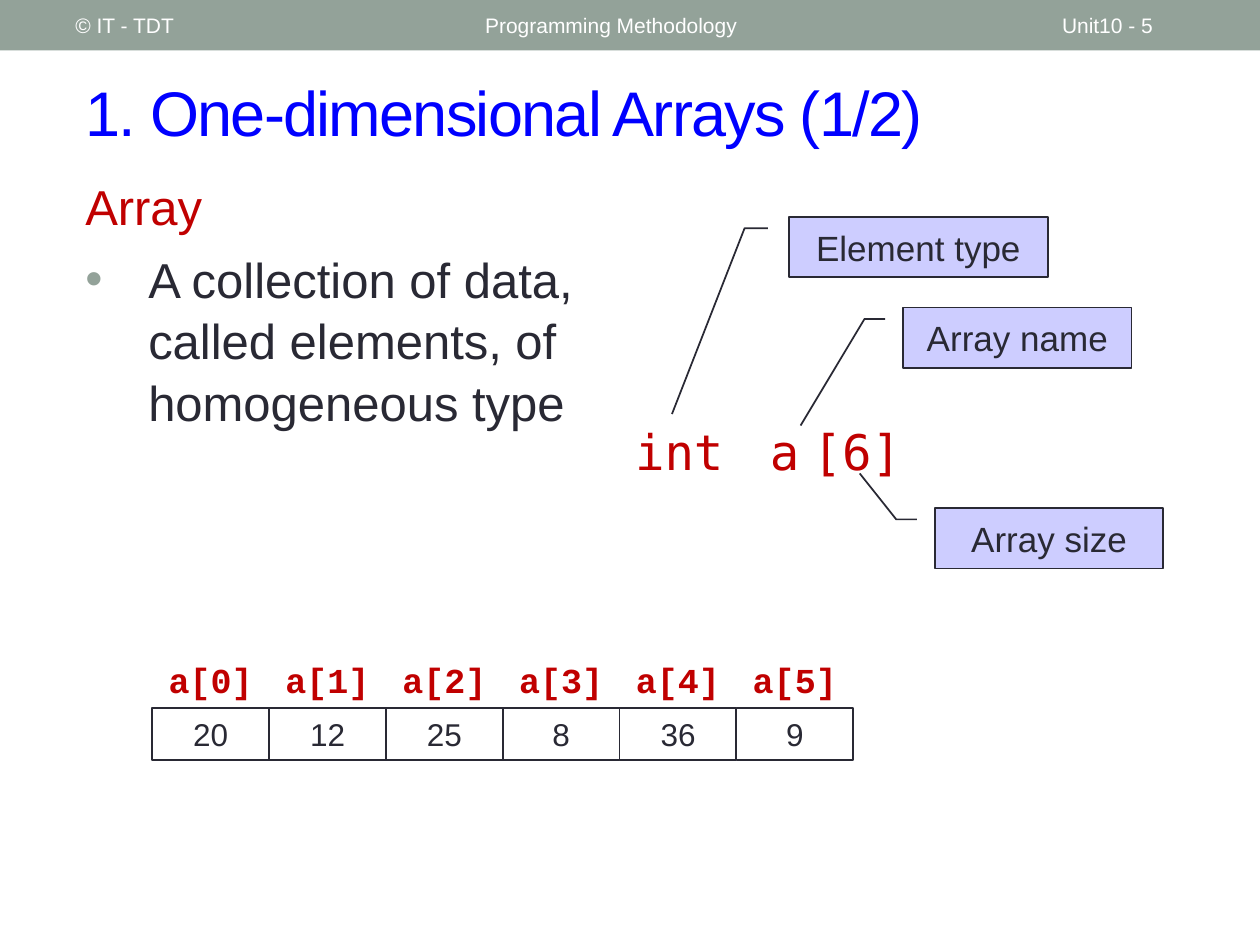
from lxml import etree
from pptx import Presentation
from pptx.dml.color import RGBColor
from pptx.enum.shapes import MSO_SHAPE
from pptx.enum.text import MSO_ANCHOR, MSO_AUTO_SIZE, PP_ALIGN
from pptx.oxml.ns import qn
from pptx.util import Cm, Pt

RECT, CALLOUT = MSO_SHAPE.RECTANGLE, MSO_SHAPE.LINE_CALLOUT_2
TOP, MIDDLE = MSO_ANCHOR.TOP, MSO_ANCHOR.MIDDLE
LEFT, CENTER = PP_ALIGN.LEFT, PP_ALIGN.CENTER
NO_AUTOFIT = MSO_AUTO_SIZE.NONE

COLORS = {
    "bar": "93A299", "title": "0000FF", "accent": "C00000",
    "ink": "292934", "callout": "CDCDFF", "white": "FFFFFF",
}


def rgb(name):
    return RGBColor.from_string(COLORS[name])


def write(paragraph, text, size=18, font="Arial", color="ink", bold=False,
          align=LEFT, tracking=None):
    paragraph.alignment = align
    run = paragraph.add_run()
    run.text = text
    run.font.size = Pt(size)
    run.font.name = font
    run.font.bold = bold
    run.font.color.rgb = rgb(color)
    if tracking is not None:
        run.font._element.set("spc", str(tracking * 100))


class ArraySlide:
    def __init__(self, presentation):
        self.slide = presentation.slides.add_slide(presentation.slide_layouts[5])
        self.shapes = self.slide.shapes

    def frame(self, shape, anchor):
        frame = shape.text_frame
        frame.word_wrap = True
        frame.auto_size = NO_AUTOFIT
        frame.vertical_anchor = anchor
        return frame

    def title(self, text, left, top, width, height):
        title = self.shapes.title
        title.left, title.top = Cm(left), Cm(top)
        title.width, title.height = Cm(width), Cm(height)
        write(self.frame(title, MIDDLE).paragraphs[0], text, size=36,
              color="title", tracking=-1)

    def label(self, text, left, top, width, height, anchor=TOP, **style):
        box = self.shapes.add_textbox(Cm(left), Cm(top), Cm(width), Cm(height))
        write(self.frame(box, anchor).paragraphs[0], text, **style)

    def box(self, left, top, width, height, kind=RECT, fill=None, line="ink",
            text="", size=18):
        box = self.shapes.add_shape(kind, Cm(left), Cm(top), Cm(width), Cm(height))
        box.shadow.inherit = False
        if fill:
            box.fill.solid()
            box.fill.fore_color.rgb = rgb(fill)
        else:
            box.fill.background()
        if line:
            box.line.color.rgb = rgb(line)
            box.line.width = Pt(1)
        else:
            box.line.fill.background()
        if text:
            write(self.frame(box, MIDDLE).paragraphs[0], text, size=size, align=CENTER)
        return box

    def callout(self, text, left, top, width, tip_y, tip_x):
        callout = self.box(left, top, width, 1.22, CALLOUT, "callout", text=text, size=20)
        # Each pair is y, x as a share of the box: start, elbow, tip
        for i, value in enumerate((0.19, -0.08, 0.19, -0.17, tip_y, tip_x)):
            callout.adjustments[i] = value

    def definition(self, term, meaning, left, top, width, height):
        box = self.shapes.add_textbox(Cm(left), Cm(top), Cm(width), Cm(height))
        frame = self.frame(box, TOP)
        heading, item = frame.paragraphs[0], frame.add_paragraph()
        write(heading, term, size=28, color="accent")
        write(item, meaning, size=28)
        for paragraph in (heading, item):
            paragraph.space_before = Pt(6)
            paragraph.line_spacing = 1.05
        # Hanging bullet
        props = item._p.get_or_add_pPr()
        props.set("marL", str(Cm(1.27)))
        props.set("indent", str(Cm(-1.27)))
        bullet_color = etree.SubElement(props, qn("a:buClr"))
        etree.SubElement(bullet_color, qn("a:srgbClr"), val=COLORS["bar"])
        etree.SubElement(props, qn("a:buFont"), typeface="Arial")
        etree.SubElement(props, qn("a:buChar"), char="•")


presentation = Presentation()
presentation.slide_width, presentation.slide_height = Cm(25.4), Cm(19.05)
page = ArraySlide(presentation)

# Header bar
page.box(0, 0, 25.4, 1.02, fill="bar", line=None)
for text, left, width in (("© IT - TDT", 1.27, 8.05),
                          ("Programming Methodology", 9.53, 11.43),
                          ("Unit10 - 5", 21.16, 2.97)):
    page.label(text, left, 0.05, width, 0.91, MIDDLE, size=12, color="white")

# Title and definition
page.title("1. One-dimensional Arrays (1/2)", 1.47, 1.07, 23.29, 2.34)
page.definition("Array", "A collection of data, called elements, of homogeneous type",
                1.47, 3.38, 10.74, 5.46)

# Declaration and its callouts
for token, left, width in (("int", 12.5, 2.39), ("a", 14.88, 1.88), ("[6]", 16.08, 2.39)):
    page.label(token, left, 8.38, width, 1.45, size=28, font="DejaVu Sans Mono",
               color="accent", align=CENTER)
page.callout("Element type", 15.9, 4.37, 5.23, 3.26, -0.45)
page.callout("Array name", 18.21, 6.2, 4.6, 1.95, -0.45)
page.callout("Array size", 18.85, 10.24, 4.6, -0.57, -0.33)

# Array elements with their indexes
ROW_LEFT, CELL_WIDTH = 3.07, 2.355
for index, element in enumerate((20, 12, 25, 8, 36, 9)):
    left = ROW_LEFT + index * CELL_WIDTH
    page.box(left, 14.28, CELL_WIDTH, 1.04, text=str(element))
    page.label(f"a[{index}]", left, 13.16, CELL_WIDTH, 1.12, size=20,
               font="Courier New", color="accent", bold=True, align=CENTER)

presentation.save("out.pptx")
